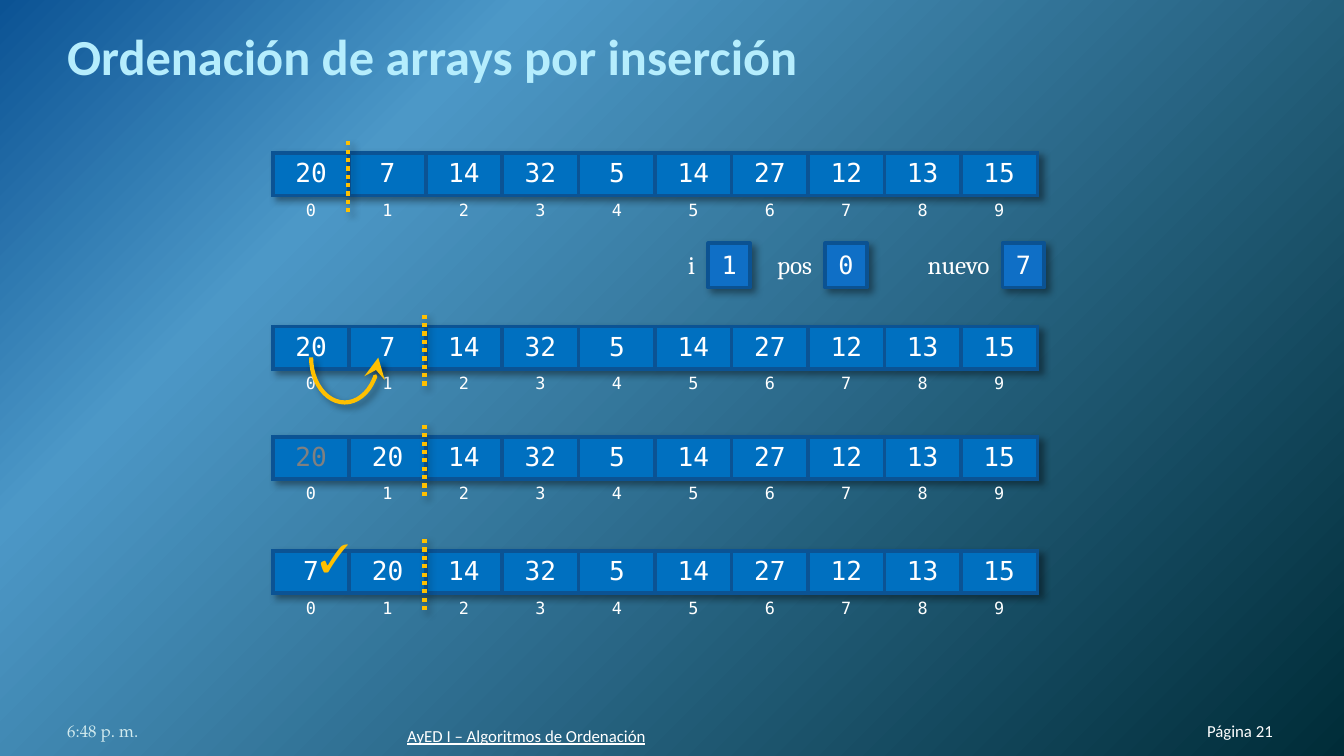
from dataclasses import dataclass

from lxml.etree import SubElement
from pptx import Presentation
from pptx.dml.color import RGBColor as Rgb
from pptx.enum.dml import MSO_LINE as Dash
from pptx.enum.shapes import MSO_CONNECTOR as Connector, MSO_SHAPE as Shape
from pptx.enum.text import MSO_ANCHOR as Anchor, MSO_AUTO_SIZE as AutoSize, PP_ALIGN as Align
from pptx.oxml import parse_xml
from pptx.oxml.ns import nsdecls, qn
from pptx.util import Inches, Pt


@dataclass(frozen=True)
class Theme:
    title: str = "B5EDFD"
    outline: str = "0070C0"
    white: str = "FFFFFF"
    faded: str = "808080"
    date: str = "D1EAEE"
    accent: str = "FFC000"
    cell: str = "0070C0"
    border: str = "0B5394"
    variable: str = "0F6FC6"
    variable_line: str = "0B5292"
    background: tuple = ((0, "0B5394"), (25, "4C98C7"), (100, "002C38"))
    sans: str = "Calibri"
    serif: str = "Cambria"
    mono: str = "DejaVu Sans Mono"
    old_style: str = "TeX Gyre Pagella"
    title_size: float = 27
    check_size: float = 21
    value_size: float = 14
    variable_size: float = 13.5
    small_size: float = 9
    stroke: float = 2.25


class ArraySlide:
    left, width, columns = 2.03, 5.69, 10
    row_heights = (0.3, 0.24)

    def __init__(self, deck, theme):
        self.theme = theme
        self.page = deck.slides.add_slide(deck.slide_layouts[6])

    def background(self):
        stops = "".join(
            f'<a:gs pos="{position * 1000}"><a:srgbClr val="{color}"/></a:gs>'
            for position, color in self.theme.background)
        self.page.element.cSld.insert(0, parse_xml(
            f'<p:bg {nsdecls("p", "a")}><p:bgPr><a:gradFill><a:gsLst>{stops}</a:gsLst>'
            '<a:path path="circle"><a:fillToRect r="100000" b="100000"/></a:path>'
            '</a:gradFill><a:effectLst/></p:bgPr></p:bg>'))

    def shadow(self):
        return parse_xml(
            f'<a:effectLst {nsdecls("a")}><a:outerShdw blurRad="{Pt(4)}" dist="{Pt(3)}" '
            'dir="2700000" algn="tl" rotWithShape="0"><a:srgbClr val="000000">'
            '<a:alpha val="40000"/></a:srgbClr></a:outerShdw></a:effectLst>')

    def style(self, para, size, font, color, align=Align.LEFT):
        para.alignment = align
        para.font.size = Pt(size)
        para.font.name = font
        para.font.color.rgb = Rgb.from_string(color)

    def stroke(self, shape, color, width):
        shape.line.color.rgb = Rgb.from_string(color)
        shape.line.width = Pt(width)

    def text(self, words, place, size, font, color, align=Align.LEFT, top_inset=0):
        box = self.page.shapes.add_textbox(*map(Inches, place))
        frame = box.text_frame
        frame.word_wrap = True
        frame.vertical_anchor = Anchor.BOTTOM
        frame.margin_left = frame.margin_right = frame.margin_bottom = 0
        frame.margin_top = Inches(top_inset)
        para = frame.paragraphs[0]
        span = para.add_run()
        span.text = words
        self.style(para, size, font, color, align)
        return span

    def title(self, words):
        span = self.text(words, (0.5, 0.23, 9, 0.41), self.theme.title_size,
                         self.theme.sans, self.theme.title, top_inset=0.05)
        span.font.bold = True
        span._r.get_or_add_rPr().insert(0, parse_xml(
            f'<a:ln {nsdecls("a")} w="{Pt(0.75)}"><a:solidFill>'
            f'<a:srgbClr val="{self.theme.outline}"/></a:solidFill></a:ln>'))

    def fitted(self, box, words, size, font, color, align=Align.LEFT):
        frame = box.text_frame
        frame.word_wrap = False
        frame.auto_size = AutoSize.SHAPE_TO_FIT_TEXT
        frame.vertical_anchor = Anchor.TOP
        para = frame.paragraphs[0]
        para.text = words
        para.space_after = Pt(4.5)
        self.style(para, size, font, color, align)
        return para

    def cell(self, cell, words, size, color, sides):
        cell.margin_left = cell.margin_right = Inches(0.07)
        cell.margin_top = cell.margin_bottom = Inches(0.04)
        para = cell.text_frame.paragraphs[0]
        para.text = words
        self.style(para, size, self.theme.mono, color, Align.CENTER)
        properties = cell._tc.get_or_add_tcPr()
        for position, side in enumerate(sides):
            properties.insert(position, parse_xml(
                f'<a:ln{side} {nsdecls("a")} w="{Pt(self.theme.stroke)}"><a:solidFill>'
                f'<a:srgbClr val="{self.theme.border}"/></a:solidFill></a:ln{side}>'))

    def array(self, top, values, sorted_count, faded=()):
        theme = self.theme
        table = self.page.shapes.add_table(
            2, self.columns, Inches(self.left), Inches(top),
            Inches(self.width), Inches(sum(self.row_heights))).table
        table.first_row = table.horz_banding = False
        properties = table._tbl.tblPr
        properties.find(qn("a:tableStyleId")).text = "{2D5ABB26-0587-4C30-8999-92F81FD0307C}"
        properties.insert(0, self.shadow())
        for row, height in zip(table.rows, self.row_heights):
            row.height = Inches(height)
        for index, value in enumerate(values):
            table.columns[index].width = Inches(self.width / self.columns)
            head, foot = table.cell(0, index), table.cell(1, index)
            head.fill.solid()
            head.fill.fore_color.rgb = Rgb.from_string(theme.cell)
            foot.fill.background()
            color = theme.faded if index in faded else theme.white
            self.cell(head, str(value), theme.value_size, color, "LRTB")
            self.cell(foot, str(index), theme.small_size, theme.white, "T")
        self.divider(self.left + sorted_count * self.width / self.columns - 0.01, top - 0.1)

    def divider(self, x, top):
        line = self.page.shapes.add_connector(
            Connector.STRAIGHT, Inches(x), Inches(top + 0.54), Inches(x), Inches(top))
        self.stroke(line, self.theme.accent, self.theme.stroke)
        line.line.dash_style = Dash.ROUND_DOT
        line.element.spPr.append(self.shadow())

    def shift_arrow(self, place):
        arc = self.page.shapes.add_shape(Shape.ARC, *map(Inches, place))
        arc.adjustments[0] = 162
        arc.adjustments[1] = 53.776
        arc.rotation = 270
        arc.element.spPr.xfrm.set("flipH", "1")
        arc.fill.background()
        self.stroke(arc, self.theme.accent, self.theme.stroke)
        SubElement(arc.line._get_or_add_ln(), qn("a:tailEnd"),
                   type="stealth", w="lg", len="lg")
        arc.element.spPr.append(self.shadow())

    def variable(self, name, value, label_left, label_width):
        theme = self.theme
        top, height = Inches(1.81), Inches(0.33)
        group = self.page.shapes.add_group_shape()
        box = group.shapes.add_shape(
            Shape.RECTANGLE, Inches(label_left + label_width), top, Inches(0.31), height)
        box.fill.solid()
        box.fill.fore_color.rgb = Rgb.from_string(theme.variable)
        self.stroke(box, theme.variable_line, 2)
        box.element.spPr.append(self.shadow())
        self.fitted(box, str(value), theme.variable_size, theme.mono, theme.white)
        label = group.shapes.add_textbox(Inches(label_left), top, Inches(label_width), height)
        self.fitted(label, name, theme.variable_size, theme.serif, theme.white, Align.RIGHT)

    def check(self, place):
        box = self.page.shapes.add_textbox(*map(Inches, place))
        para = self.fitted(box, "✓", self.theme.check_size, self.theme.serif, self.theme.accent)
        para.font.bold = True


def main():
    deck = Presentation()
    deck.slide_width = Inches(10)
    deck.slide_height = deck.slide_width * 9 // 16
    theme = Theme()
    slide = ArraySlide(deck, theme)
    slide.background()
    slide.title("Ordenación de arrays por inserción")

    unsorted = [14, 32, 5, 14, 27, 12, 13, 15]
    slide.array(2.43, [20, 7] + unsorted, 2)
    slide.shift_arrow((2.23, 2.41, 0.67, 0.5))
    slide.array(3.25, [20, 20] + unsorted, 2, faded=(0,))
    slide.array(1.14, [20, 7] + unsorted, 1)

    slide.variable("nuevo", 7, 6.77, 0.69)
    slide.variable("pos", 0, 5.65, 0.49)
    slide.variable("i", 1, 5.02, 0.25)

    slide.array(4.1, [7, 20] + unsorted, 2)
    slide.check((2.28, 3.92, 0.43, 0.45))

    small = theme.small_size
    slide.text("6:48 p. m.", (0.5, 5.21, 2.33, 0.3), small, theme.old_style, theme.date)
    course = slide.text("AyED I – Algoritmos de Ordenación", (3.03, 5.25, 3.78, 0.3),
                        small, theme.sans, theme.white)
    course.font.underline = True
    slide.text("Página 21", (8.49, 5.21, 0.98, 0.3), small, theme.sans, theme.white, Align.RIGHT)
    deck.save("out.pptx")


if __name__ == "__main__":
    main()
